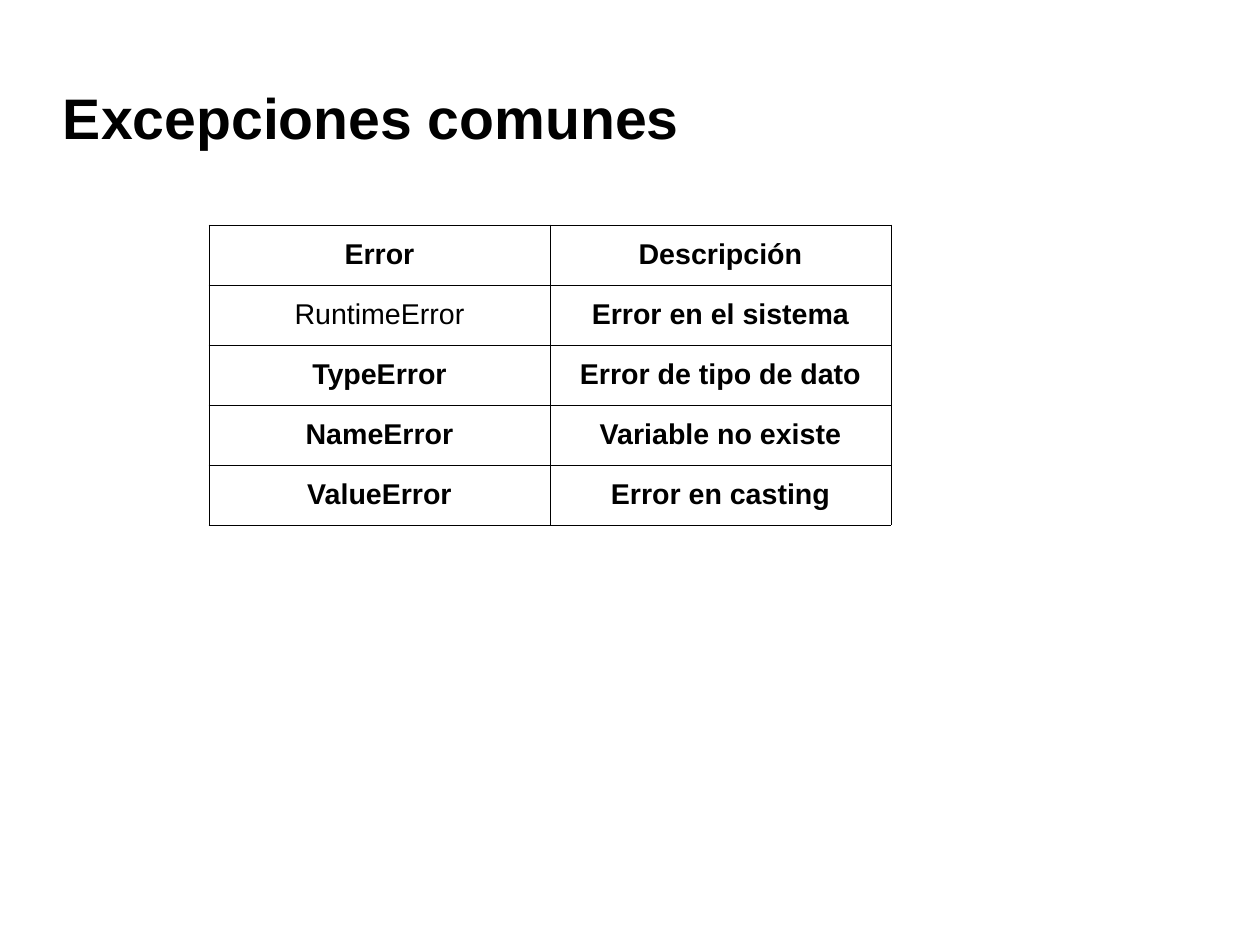
from dataclasses import dataclass

from lxml import etree
from pptx import Presentation
from pptx import util as u
from pptx.dml import color
from pptx.enum import text
from pptx.oxml import ns

PX = 8000
SLIDE_SIZE = (1260, 945)
TITLE_BOX = (63, 72, 900, 90)
TABLE_BOX = (209, 225, 682, 300)
ROWS = [
    ("Error", "Descripción"),
    ("RuntimeError", "Error en el sistema"),
    ("TypeError", "Error de tipo de dato"),
    ("NameError", "Variable no existe"),
    ("ValueError", "Error en casting"),
]
PLAIN_WORDS = {"RuntimeError"}


@dataclass(frozen=True)
class Theme:
    """Colours, font and sizes of the slide."""
    font: str = "Arial"
    ink: str = "000000"
    paper: str = "FFFFFF"
    title_size: int = 36
    cell_size: int = 18
    border: float = 0.57


THEME = Theme()


def emu(*lengths):
    """Turn px lengths into EMU."""
    return [u.Emu(length * PX) for length in lengths]


def add_span(para, words, size, bold=True):
    """Add one formatted run to a paragraph."""
    span = para.add_run()
    span.text = words
    span.font.name = THEME.font
    span.font.size = u.Pt(size)
    span.font.bold = bold
    span.font.color.rgb = color.RGBColor.from_string(THEME.ink)


def add_borders(cell):
    """Draw a thin line on all four sides of a cell."""
    properties = cell._tc.get_or_add_tcPr()
    for index, side in enumerate(("a:lnL", "a:lnR", "a:lnT", "a:lnB")):
        line = etree.Element(ns.qn(side), w=str(u.Pt(THEME.border)))
        fill = etree.SubElement(line, ns.qn("a:solidFill"))
        etree.SubElement(fill, ns.qn("a:srgbClr"), val=THEME.ink)
        properties.insert(index, line)


def place_title(page, box, words):
    """Place the title placeholder in the box."""
    title = page.shapes.title
    title.left, title.top, title.width, title.height = emu(*box)
    frame = title.text_frame
    frame.margin_left = frame.margin_right = 0
    frame.margin_top = frame.margin_bottom = 0
    frame.vertical_anchor = text.MSO_ANCHOR.MIDDLE
    frame.word_wrap = True
    para = frame.paragraphs[0]
    para.alignment = text.PP_ALIGN.LEFT
    add_span(para, words, THEME.title_size)


def fill_cell(cell, words):
    """Format one table cell and write its words."""
    cell.fill.solid()
    cell.fill.fore_color.rgb = color.RGBColor.from_string(THEME.paper)
    add_borders(cell)
    cell.vertical_anchor = text.MSO_ANCHOR.MIDDLE
    para = cell.text_frame.paragraphs[0]
    para.alignment = text.PP_ALIGN.CENTER
    add_span(para, words, THEME.cell_size, words not in PLAIN_WORDS)


def place_table(page, box, rows):
    """Place the table of errors, with equal rows and columns, in the box."""
    table = page.shapes.add_table(len(rows), len(rows[0]), *emu(*box)).table
    table.first_row = table.horz_banding = False
    for row, entries in enumerate(rows):
        for column, words in enumerate(entries):
            fill_cell(table.cell(row, column), words)


def main():
    """Build and save the deck."""
    deck = Presentation()
    deck.slide_width, deck.slide_height = emu(*SLIDE_SIZE)
    page = deck.slides.add_slide(deck.slide_layouts.get_by_name("Title Only"))
    place_title(page, TITLE_BOX, "Excepciones comunes")
    place_table(page, TABLE_BOX, ROWS)
    deck.save("out.pptx")


if __name__ == "__main__":
    main()
